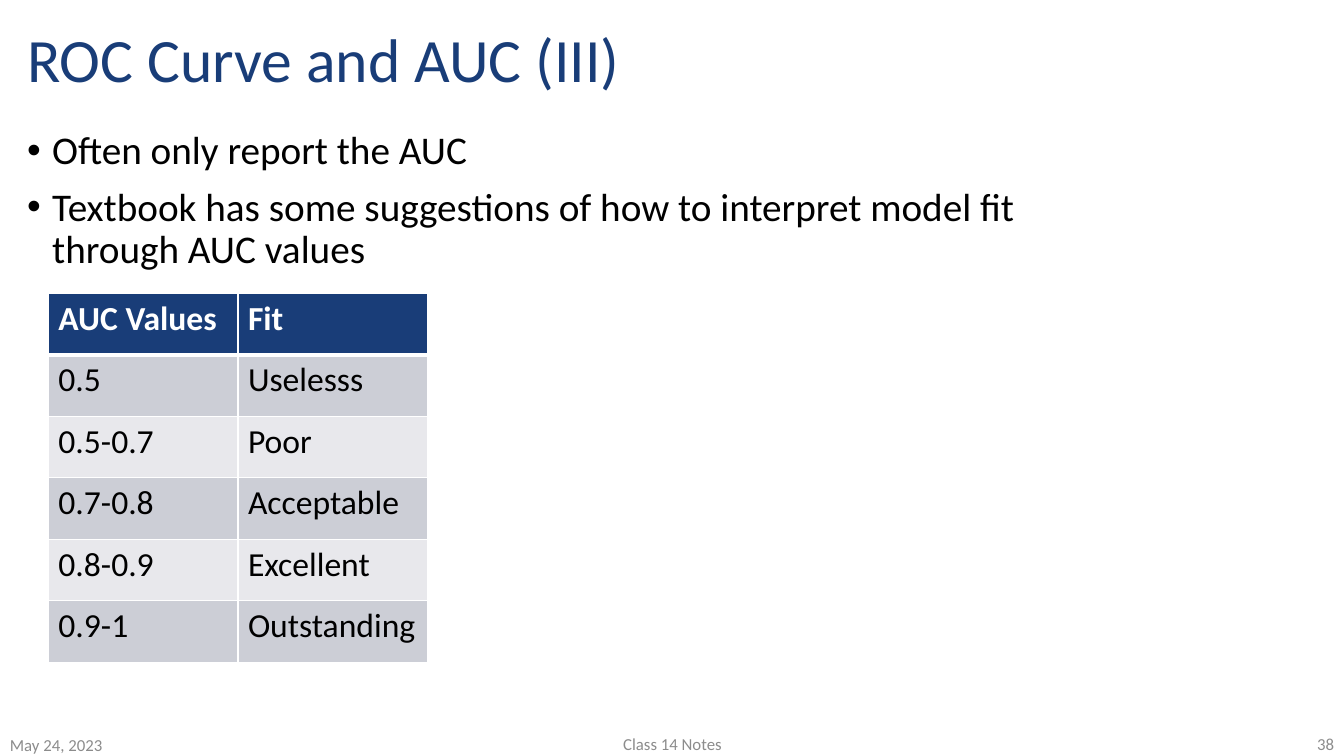
from lxml import etree
from pptx import Presentation
from pptx.dml.color import RGBColor
from pptx.enum.text import MSO_ANCHOR as Anchor, PP_ALIGN as Align
from pptx.oxml.ns import qn
from pptx.util import Pt

# Content
TITLE = "ROC Curve and AUC (III)"
BULLETS = [
    "Often only report the AUC",
    "Textbook has some suggestions of how to interpret model fit through AUC values",
]
FIT_ROWS = [
    ("AUC Values", "Fit"),
    ("0.5", "Uselesss"),
    ("0.5-0.7", "Poor"),
    ("0.7-0.8", "Acceptable"),
    ("0.8-0.9", "Excellent"),
    ("0.9-1", "Outstanding"),
]
# Footer: text, box in px, alignment
FOOTER = [
    ("May 24, 2023", (0, 727, 300, 23), Align.LEFT),
    ("Class 14 Notes", (442, 725, 450, 25), Align.CENTER),
    ("38", (1033, 725, 300, 25), Align.RIGHT),
]

# Theme and layout
THEME = {
    "font": "Calibri",
    "navy": "193D78", "black": "000000", "white": "FFFFFF", "gray": "8C8C8C",
    "bands": ("E8E8EC", "CCCED6"),
    "title": 44, "body": 28, "table": 24, "footer": 12,
}
EMU_PER_PX = 9144
SLIDE_SIZE = (1333, 750)
TITLE_BOX = (17, 16, 1300, 92)
BODY_BOX = (17, 125, 1000, 592)
TABLE_ORIGIN = (48, 291)
COLUMN_WIDTH, ROW_HEIGHT = 188, 61
BULLET_INDENT = 25


def px(length):
    return length * EMU_PER_PX


def add_run(paragraph, text, size, color, bold=False):
    run = paragraph.add_run()
    run.text = text
    formats = {"name": THEME["font"], "size": Pt(THEME[size]), "bold": bold}
    for name, value in formats.items():
        setattr(run.font, name, value)
    run.font.color.rgb = RGBColor.from_string(THEME[color])


def add_frame(slide, box, anchor):
    frame = slide.shapes.add_textbox(*map(px, box)).text_frame
    frame.word_wrap = True
    frame.vertical_anchor = anchor
    return frame


def add_bullet(paragraph):
    properties = paragraph._p.get_or_add_pPr()
    properties.set("marL", str(px(BULLET_INDENT)))
    properties.set("indent", str(-px(BULLET_INDENT)))
    etree.SubElement(properties, qn("a:buFont"), typeface="Arial")
    etree.SubElement(properties, qn("a:buChar"), char="•")


def add_borders(cell, widths):
    properties = cell._tc.get_or_add_tcPr()
    for side, width in widths.items():
        line = etree.SubElement(properties, qn(f"a:ln{side}"), w=str(Pt(width)))
        fill = etree.SubElement(line, qn("a:solidFill"))
        etree.SubElement(fill, qn("a:srgbClr"), val=THEME["white"])


def add_fit_table(slide):
    rows, columns = len(FIT_ROWS), len(FIT_ROWS[0])
    size = (columns * COLUMN_WIDTH, rows * ROW_HEIGHT)
    table = slide.shapes.add_table(rows, columns, *map(px, TABLE_ORIGIN + size)).table
    for row_index, values in enumerate(FIT_ROWS):
        header = row_index == 0
        fill_color = THEME["navy"] if header else THEME["bands"][row_index % 2]
        widths = {"L": 1, "R": 1, "T": 3 if row_index == 1 else 1, "B": 3 if header else 1}
        for column_index, value in enumerate(values):
            cell = table.cell(row_index, column_index)
            add_borders(cell, widths)
            cell.fill.solid()
            cell.fill.fore_color.rgb = RGBColor.from_string(fill_color)
            add_run(cell.text_frame.paragraphs[0], value, "table",
                    "white" if header else "black", header)


def main():
    presentation = Presentation()
    presentation.slide_width, presentation.slide_height = map(px, SLIDE_SIZE)
    slide = presentation.slides.add_slide(presentation.slide_layouts[6])

    # Title
    paragraph = add_frame(slide, TITLE_BOX, Anchor.MIDDLE).paragraphs[0]
    paragraph.line_spacing = 0.9
    add_run(paragraph, TITLE, "title", "navy")

    # Bullets
    frame = add_frame(slide, BODY_BOX, Anchor.TOP)
    for index, text in enumerate(BULLETS):
        paragraph = frame.add_paragraph() if index else frame.paragraphs[0]
        paragraph.line_spacing = 0.9
        paragraph.space_before = Pt(10 if index else 0)
        add_bullet(paragraph)
        add_run(paragraph, text, "body", "black")

    # Table of AUC values
    add_fit_table(slide)

    # Footer
    for text, box, alignment in FOOTER:
        paragraph = add_frame(slide, box, Anchor.MIDDLE).paragraphs[0]
        paragraph.alignment = alignment
        add_run(paragraph, text, "footer", "gray")

    presentation.save("out.pptx")


if __name__ == "__main__":
    main()
